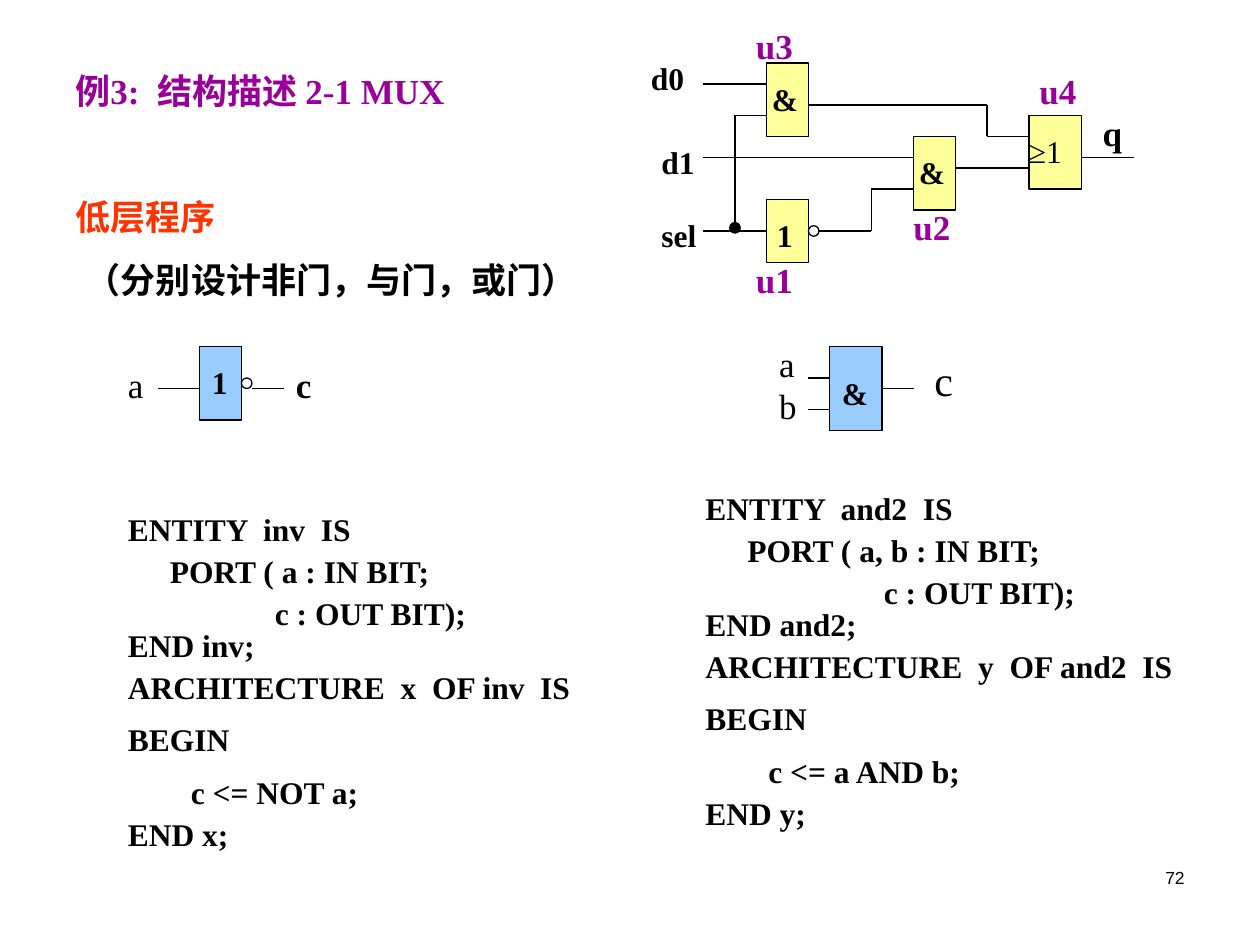
from lxml.etree import SubElement
from pptx import Presentation
from pptx.dml.color import RGBColor
from pptx.enum.shapes import MSO_CONNECTOR as CONN, MSO_SHAPE as SHAPE
from pptx.enum.text import PP_ALIGN as ALIGN
from pptx.oxml.ns import qn
from pptx.util import Emu, Pt

PX = 7620  # 120 px to the inch
SERIF = "Times New Roman"
BLACK, PURPLE, RED = "000000", "990099", "FF3300"
YELLOW, BLUE = "FFFF99", "99CCFF"
LEFT, RIGHT = 1, 3  # connection sites of a rectangle


def px(n):
    return Emu(n * PX)


def rgb(value):
    return RGBColor.from_string(value)


def add_text(parent, x, y, w, h, text, inset=(12, 12), color=BLACK,
             align=ALIGN.LEFT, **font):
    """One paragraph for each line of text."""
    tf = parent.shapes.add_textbox(*map(px, (x, y, w, h))).text_frame
    frame = {"word_wrap": True, "margin_left": px(inset[0]),
             "margin_right": px(inset[1]), "margin_top": px(6),
             "margin_bottom": px(6)}
    for name, value in frame.items():
        setattr(tf, name, value)
    fmt = {"name": SERIF, "size": Pt(18), "bold": True, **font}
    for i, line in enumerate(text.split("\n")):
        p = tf.paragraphs[0] if i == 0 else tf.add_paragraph()
        p.alignment = align
        r = p.add_run()
        r.text = line
        for name, value in fmt.items():
            setattr(r.font, name, value)
        r.font.color.rgb = rgb(color)


def add_label(parent, x, y, w, h, text, **fmt):
    add_text(parent, x, y, w, h, text, inset=(0, 0), **fmt)


def add_outline(parent, kind, x, y, w, h, fill=None):
    sp = parent.shapes.add_shape(kind, *map(px, (x, y, w, h)))
    sp.shadow.inherit = False
    if fill:
        sp.fill.solid()
        sp.fill.fore_color.rgb = rgb(fill)
    else:
        sp.fill.background()
    sp.line.color.rgb = rgb(BLACK)
    sp.line.width = Pt(0.75)
    return sp


def add_circle(parent, x, y, fill=None):
    return add_outline(parent, SHAPE.OVAL, x, y, 10, 10, fill)


def add_wire(parent, x1, y1, x2, y2, begin=None, end=None):
    """begin and end are (gate, connection site)."""
    c = parent.shapes.add_connector(CONN.STRAIGHT, *map(px, (x1, y1, x2, y2)))
    if begin:
        c.begin_connect(*begin)
    if end:
        c.end_connect(*end)
    c.line.color.rgb = rgb(BLACK)
    c.line.width = Pt(0.75)
    SubElement(c._element.spPr, qn("a:effectLst"))


def add_mux(slide):
    g = slide.shapes.add_group_shape()
    # Gates and their symbols
    add_outline(g, SHAPE.RECTANGLE, 730, 60, 40, 70, YELLOW)
    add_label(g, 735, 70, 32, 48, "&")
    add_outline(g, SHAPE.RECTANGLE, 870, 130, 40, 70, YELLOW)
    add_label(g, 875, 140, 32, 48, "&")
    inverter = add_outline(g, SHAPE.RECTANGLE, 730, 190, 40, 60, YELLOW)
    add_label(g, 740, 200, 22, 48, "1")
    add_circle(g, 770, 215)
    add_outline(g, SHAPE.RECTANGLE, 980, 110, 50, 70, YELLOW)
    add_label(g, 980, 120, 50, 48, "≥1", bold=False)
    # Wires
    add_wire(g, 670, 220, 730, 220, end=(inverter, LEFT))
    for ends in [(670, 80, 730, 80), (670, 150, 870, 150),
                 (700, 110, 730, 110), (700, 110, 700, 220),
                 (780, 220, 830, 220), (830, 180, 870, 180),
                 (830, 180, 830, 220), (910, 160, 980, 160),
                 (770, 100, 940, 100), (940, 130, 980, 130),
                 (940, 100, 940, 130), (1030, 150, 1080, 150)]:
        add_wire(g, *ends)
    add_circle(g, 695, 212, BLACK)
    # Ports
    for x, y, name in [(620, 50, "d0"), (630, 130, "d1"), (630, 200, "sel")]:
        add_label(g, x, y, 50, 48, name)
    add_label(g, 1050, 100, 32, 53, "q", size=Pt(20))
    # Instance names
    for x, y, name in [(720, 240, "u1"), (870, 190, "u2"),
                       (720, 17, "u3"), (990, 60, "u4")]:
        add_label(slide, x, y, 50, 53, name, color=PURPLE, size=Pt(20))


def add_inverter(slide):
    g = slide.shapes.add_group_shape()
    add_outline(g, SHAPE.RECTANGLE, 190, 330, 40, 70, BLUE)
    add_text(g, 190, 340, 42, 48, "1")
    add_circle(g, 230, 360)
    add_wire(g, 240, 370, 270, 370)
    add_wire(g, 150, 370, 190, 370)
    add_text(g, 110, 340, 42, 53, "a", size=Pt(20), bold=False)
    add_text(g, 270, 340, 42, 53, "c", size=Pt(20))


def add_and_gate(slide):
    g = slide.shapes.add_group_shape()
    gate = add_outline(g, SHAPE.RECTANGLE, 790, 330, 50, 80, BLUE)
    add_text(g, 790, 350, 52, 48, "&")
    add_wire(g, 840, 370, 870, 370, begin=(gate, RIGHT))
    for y in (360, 390):
        add_wire(g, 770, y, 790, y)
    add_text(g, 740, 320, 20, 92, "a\nb", inset=(2, 0), size=Pt(20), bold=False)
    add_text(g, 878, 332, 42, 60, "c", size=Pt(24), bold=False)


def add_listing(slide, left, top, lines):
    """lines are (indent, width, text); both listings share the row tops."""
    rows = (0, 40, 80, 110, 150, 200, 250, 290)
    for row, (indent, width, text) in zip(rows, lines):
        add_text(slide, left + indent, top + row, width, 48, text)


def main():
    prs = Presentation()
    prs.slide_width, prs.slide_height = px(1200), px(900)
    slide = prs.slides.add_slide(prs.slide_layouts[6])

    # Headings
    for x, y, w, text, color in [
            (60, 60, 408, "例3:  结构描述 2-1 MUX", PURPLE),
            (60, 180, 172, "低层程序", RED),
            (70, 240, 500, "（分别设计非门，与门，或门）", BLACK)]:
        add_text(slide, x, y, w, 53, text, color=color, size=Pt(20))

    # Circuit and gate symbols
    add_mux(slide)
    add_inverter(slide)
    add_and_gate(slide)

    # VHDL listings
    add_listing(slide, 110, 480, [
        (0, 272, "ENTITY  inv  IS"),
        (40, 350, "PORT ( a : IN BIT;"),
        (140, 272, "c : OUT BIT);"),
        (0, 272, "END inv;"),
        (0, 480, "ARCHITECTURE  x  OF inv  IS"),
        (0, 190, "BEGIN"),
        (60, 240, "c <= NOT a;"),
        (0, 170, "END x;")])
    add_listing(slide, 660, 460, [
        (0, 360, "ENTITY  and2  IS"),
        (40, 420, "PORT ( a, b : IN BIT;"),
        (170, 260, "c : OUT BIT);"),
        (0, 272, "END and2;"),
        (0, 480, "ARCHITECTURE  y  OF and2  IS"),
        (0, 310, "BEGIN"),
        (60, 270, "c <= a AND b;"),
        (0, 170, "END y;")])

    # Page number
    add_text(slide, 860, 820, 280, 60, "72", align=ALIGN.RIGHT,
             name="Arial", size=Pt(10), bold=False)
    prs.save("out.pptx")


if __name__ == "__main__":
    main()
